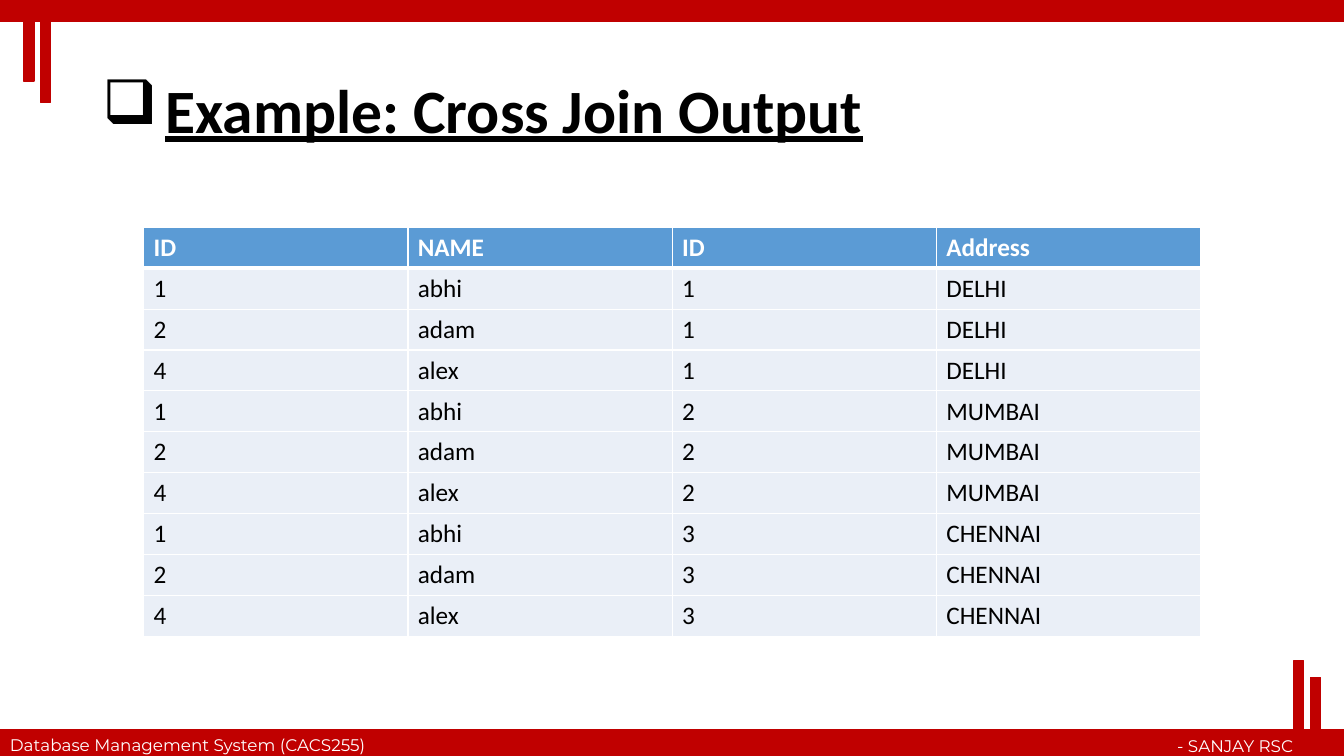
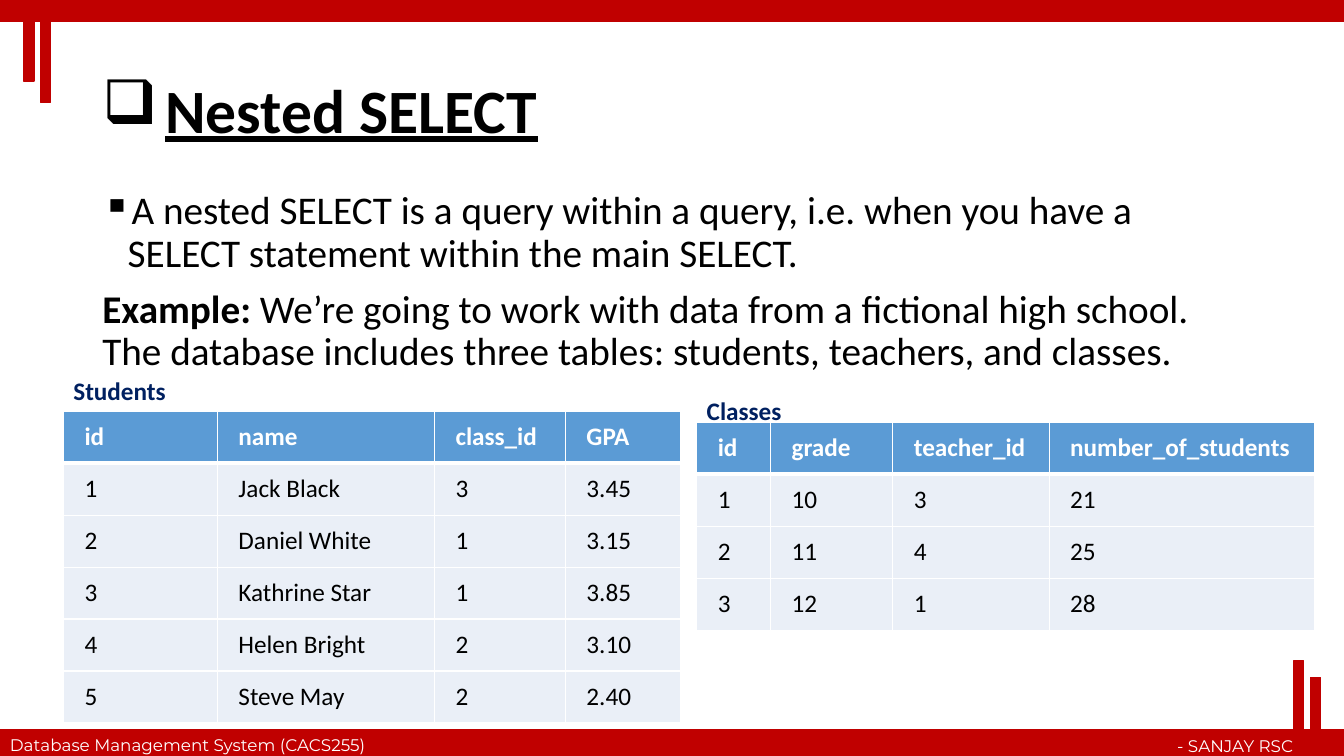
from lxml import etree
from pptx import Presentation
from pptx.dml.color import RGBColor
from pptx.enum.shapes import MSO_SHAPE as Shape
from pptx.enum.text import MSO_ANCHOR as Anchor, PP_ALIGN as Align
from pptx.oxml.ns import qn
from pptx.util import Cm, Pt

RED, WHITE, BLACK, NAVY = "C00000", "FFFFFF", "000000", "002060"
HEADER_BLUE, ROW_BLUE = "5B9BD5", "EAEFF7"


def colour(target, value):
    """Give a fill one solid colour."""
    target.solid()
    target.fore_color.rgb = RGBColor.from_string(value)


def write(frame, text, lead="", size=18, font="Calibri", color=BLACK, bold=False,
          underline=False, align=Align.LEFT, bullet=None, hang=0, spacing=None, before=None):
    """Add a paragraph to a text frame, with an optional bold lead-in."""
    frame.word_wrap = True
    first = not frame.text
    paragraph = frame.paragraphs[0] if first else frame.add_paragraph()
    if bullet:
        props = paragraph._p.get_or_add_pPr()
        props.set("marL", str(Cm(hang)))
        props.set("indent", str(-Cm(hang)))
        etree.SubElement(props, qn("a:buChar")).set("char", bullet)
    paragraph.alignment = align
    if spacing:
        paragraph.line_spacing = spacing
    if before and not first:
        paragraph.space_before = Pt(before)
    for part, is_bold in ((lead, True), (text, bold)):
        if part:
            run = paragraph.add_run()
            run.text = part
            run.font.name, run.font.size = font, Pt(size)
            run.font.bold, run.font.underline = is_bold, underline
            colour(run.font.fill, color)


deck = Presentation()
deck.slide_width, deck.slide_height = Cm(33.87), Cm(19.05)

# Shared parts, in cm: left, top, width, height
bars = [
    (0, 18.39, 33.87, 0.66),
    (0, 0, 33.87, 0.53),
    (1.02, 0.03, 0.25, 2.55),
    (0.6, 0.07, 0.26, 1.97),
    (32.61, 16.64, 0.24, 2.39),
    (33.02, 17.07, 0.26, 1.97),
]
footers = [
    ("Database Management System (CACS255)", 0, 18.39, 10.57, Align.LEFT),
    ("- SANJAY RSC", 24.64, 18.42, 8.2, Align.RIGHT),
]

# Table contents
people = [("1", "abhi"), ("2", "adam"), ("4", "alex")]
addresses = [("1", "DELHI"), ("2", "MUMBAI"), ("3", "CHENNAI")]
cross_join = [("ID", "NAME", "ID", "Address")]
cross_join += [person + address for address in addresses for person in people]
students = [
    ("id", "name", "class_id", "GPA"),
    ("1", "Jack Black", "3", "3.45"),
    ("2", "Daniel White", "1", "3.15"),
    ("3", "Kathrine Star", "1", "3.85"),
    ("4", "Helen Bright", "2", "3.10"),
    ("5", "Steve May", "2", "2.40"),
]
classes = [
    ("id", "grade", "teacher_id", "number_of_students"),
    ("1", "10", "3", "21"),
    ("2", "11", "4", "25"),
    ("3", "12", "1", "28"),
]

# Bands, footers and titles
slides = []
for heading in ("Example: Cross Join Output", "Nested SELECT"):
    slide = deck.slides.add_slide(deck.slide_layouts[6])
    slides.append(slide)
    for box in bars:
        bar = slide.shapes.add_shape(Shape.RECTANGLE, *map(Cm, box))
        bar.shadow.inherit = False
        colour(bar.fill, RED)
        colour(bar.line.fill, RED)
        bar.line.width = Pt(1)
    for text, left, top, width, align in footers:
        footer = slide.shapes.add_textbox(Cm(left), Cm(top), Cm(width), Cm(0.77))
        write(footer.text_frame, text, size=12, font="Montserrat", color=WHITE, align=align)
    title = slide.shapes.add_textbox(Cm(2.33), Cm(1.01), Cm(29.21), Cm(3.68)).text_frame
    title.vertical_anchor = Anchor.MIDDLE
    write(title, heading, size=44, bold=True, underline=True,
          bullet="❑", hang=1.59, spacing=0.9)
output_slide, nested_slide = slides

# Explanation of nested SELECT
body = nested_slide.shapes.add_textbox(Cm(2.33), Cm(4.69), Cm(29.21), Cm(12.46)).text_frame
write(body, "A nested SELECT is a query within a query, i.e. when you have a SELECT "
      "statement within the main SELECT.", size=28, bullet="▪", hang=0.64, spacing=0.9)
write(body, " We’re going to work with data from a fictional high school. The database "
      "includes three tables: students, teachers, and classes.",
      lead="Example:", size=28, spacing=0.9, before=10)

# Tables: slide, rows, left, top, column widths, row height, side and top margins, anchor
tables = [
    (output_slide, cross_join, 3.62, 5.73, [6.66] * 4, 1.03, 0.25, 0.13, Anchor.TOP),
    (nested_slide, students, 1.6, 10.36, [3.88, 5.47, 3.3, 2.9], 1.31, 0.53, 0.25, Anchor.MIDDLE),
    (nested_slide, classes, 17.56, 10.64, [1.86, 3.08, 3.94, 6.7], 1.31, 0.53, 0.25, Anchor.MIDDLE),
]
for slide, rows, left, top, widths, height, side, edge, anchor in tables:
    grid = slide.shapes.add_table(len(rows), len(widths), Cm(left), Cm(top),
                                  Cm(sum(widths)), Cm(height * len(rows))).table
    for column, width in zip(grid.columns, widths):
        column.width = Cm(width)
    for r, row in enumerate(rows):
        grid.rows[r].height = Cm(height)
        for c, value in enumerate(row):
            cell = grid.cell(r, c)
            cell.margin_left = cell.margin_right = Cm(side)
            cell.margin_top = cell.margin_bottom = Cm(edge)
            cell.vertical_anchor = anchor
            write(cell.text_frame, value, bold=r == 0, color=BLACK if r else WHITE)
            # White borders, thicker between header and body
            for name in ("lnL", "lnR", "lnT", "lnB"):
                thick = (r, name) in ((0, "lnB"), (1, "lnT"))
                border = etree.SubElement(cell._tc.get_or_add_tcPr(), qn(f"a:{name}"))
                border.set("w", str(Pt(3 if thick else 1)))
                ink = etree.SubElement(border, qn("a:solidFill"))
                etree.SubElement(ink, qn("a:srgbClr")).set("val", WHITE)
            colour(cell.fill, ROW_BLUE if r else HEADER_BLUE)

# Table captions
for name, left, top in (("Students", 1.6, 9.34), ("Classes", 17.56, 9.83)):
    caption = nested_slide.shapes.add_textbox(Cm(left), Cm(top), Cm(3.68), Cm(1.03))
    write(caption.text_frame, name, color=NAVY, bold=True)

deck.save("out.pptx")
